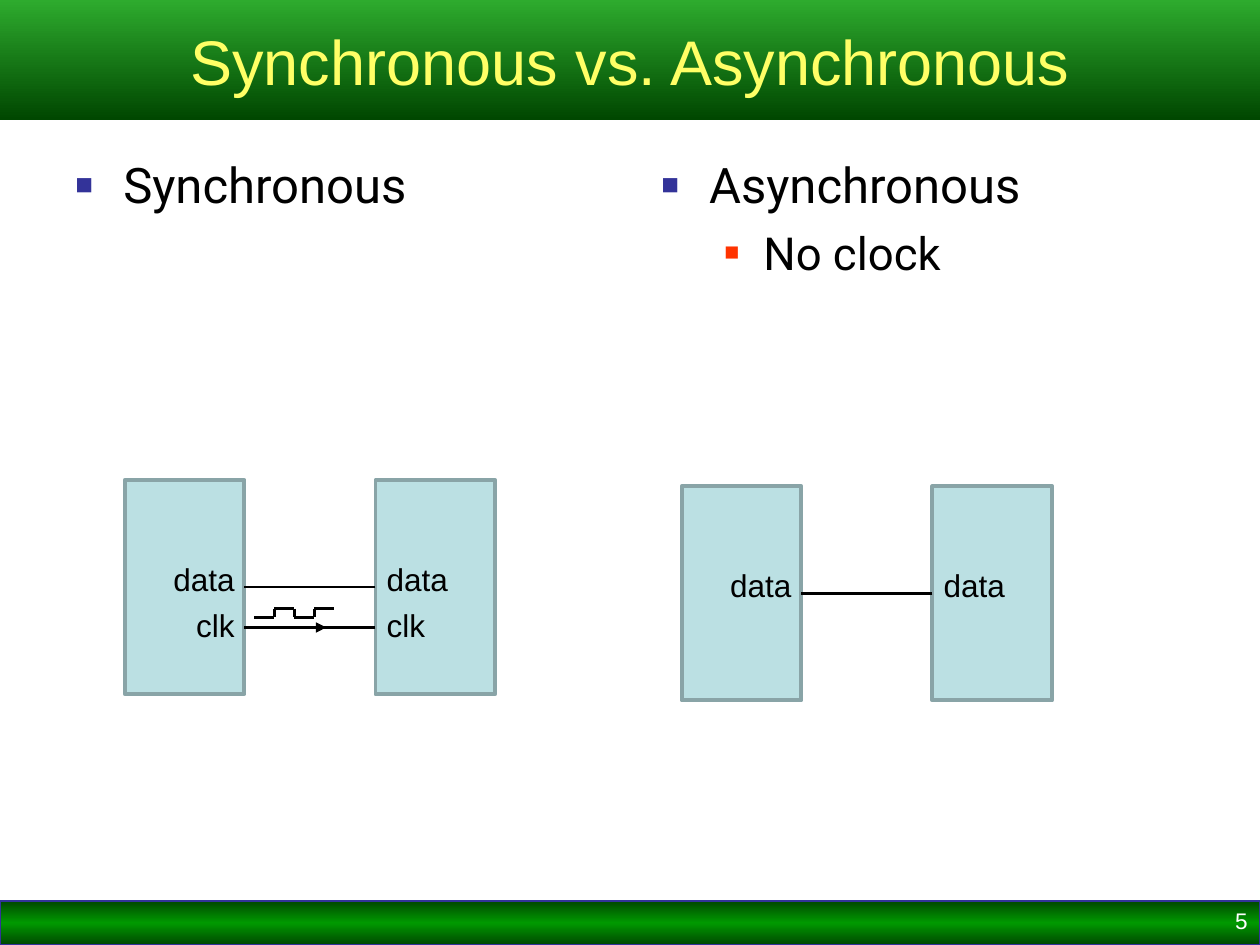
"""Build the slide that sets a synchronous link beside an asynchronous one."""
from copy import deepcopy
from itertools import pairwise

from lxml import etree
from pptx import Presentation
from pptx import util as u
from pptx.dml.color import RGBColor
from pptx.enum import shapes, text
from pptx.oxml import ns

BLACK = RGBColor(0x00, 0x00, 0x00)
WHITE = RGBColor(0xFF, 0xFF, 0xFF)
YELLOW = RGBColor(0xFF, 0xFF, 0x66)
DARK_GREEN = RGBColor(0x00, 0x47, 0x00)
GREEN = RGBColor(0x00, 0x99, 0x00)
LIGHT_GREEN = RGBColor(0x2E, 0xAB, 0x2E)
INDIGO = RGBColor(0x33, 0x33, 0x99)
RED = RGBColor(0xFF, 0x33, 0x00)
BOX_FILL = RGBColor(0xBB, 0xE0, 0xE3)
BOX_LINE = RGBColor(0x89, 0xA4, 0xA7)

presentation = Presentation()
presentation.slide_width, presentation.slide_height = u.Inches(10), u.Inches(7.5)
COLUMN = presentation.slide_width / 100
ROW = presentation.slide_height / 75
slide = presentation.slides.add_slide(presentation.slide_layouts[5])


def place(*columns_and_rows):
    """Turn grid positions, column and row by turns, into lengths."""
    return [round(value * unit) for value, unit in zip(columns_and_rows, (COLUMN, ROW) * 2)]


def write(paragraph, words, size=18, font="Arial", color=BLACK, align=text.PP_ALIGN.LEFT,
          bullet=None, indent=(0, 0), before=0):
    """Fill a paragraph with formatted words and an optional square bullet."""
    properties = paragraph._p.get_or_add_pPr()
    if bullet:
        bullet_color, bullet_size = bullet
        margin, hanging = indent
        properties.set("marL", str(u.Inches(margin)))
        properties.set("indent", str(-u.Inches(hanging)))
        holder = etree.SubElement(properties, ns.qn("a:buClr"))
        etree.SubElement(holder, ns.qn("a:srgbClr"), val=str(bullet_color))
        etree.SubElement(properties, ns.qn("a:buSzPct"), val=str(bullet_size * 1000))
        etree.SubElement(properties, ns.qn("a:buFont"), typeface="Arial")
        etree.SubElement(properties, ns.qn("a:buChar"), char="■")
    paragraph.alignment = align
    paragraph.space_before = u.Pt(before)
    run = paragraph.add_run()
    run.text = words
    run.font.size, run.font.name, run.font.color.rgb = u.Pt(size), font, color


footer = slide.shapes.add_shape(shapes.MSO_SHAPE.RECTANGLE, *place(0, 71.5, 100, 3.5))
footer.shadow.inherit = False
footer.line.color.rgb, footer.line.width = INDIGO, u.Pt(0.75)

title = slide.shapes.title
title.left, title.top, title.width, title.height = place(0, 0, 100, 9.5)
title.text_frame.vertical_anchor = text.MSO_ANCHOR.MIDDLE
write(title.text_frame.paragraphs[0], "Synchronous vs. Asynchronous", size=36,
      color=YELLOW, align=text.PP_ALIGN.CENTER)

for banner, colors in ((footer, (DARK_GREEN, GREEN, DARK_GREEN)),
                       (title, (LIGHT_GREEN, DARK_GREEN))):
    banner.fill.gradient()
    banner.fill.gradient_angle = 270
    stop_list = banner.fill.gradient_stops[0]._gs.getparent()
    if len(colors) == 3:
        stop_list.append(deepcopy(stop_list[0]))
    for index, (stop, color) in enumerate(zip(banner.fill.gradient_stops, colors)):
        stop.position = index / (len(colors) - 1)
        stop.color.rgb = color

topic = {"size": 28, "bullet": (INDIGO, 60), "indent": (0.38, 0.38)}
detail = {"size": 26, "bullet": (RED, 55), "indent": (0.81, 0.31), "before": 6.5}
for left, lines in ((5, [("Synchronous", topic)]),
                    (51.5, [("Asynchronous", topic), ("No clock", detail)])):
    frame = slide.shapes.add_textbox(*place(left, 11.8, 44.8, 58.9)).text_frame
    frame.word_wrap = True
    for level, (words, style) in enumerate(lines):
        paragraph = frame.add_paragraph() if level else frame.paragraphs[0]
        paragraph.level = level
        write(paragraph, words, font="Roboto", **style)

number = slide.shapes.add_textbox(*place(76.7, 71.7, 23.3, 3.3)).text_frame
number.word_wrap = True
number.paragraphs[0].line_spacing = 0.9
write(number.paragraphs[0], "5", size=12.9, color=WHITE, align=text.PP_ALIGN.RIGHT)

connectors = []
for left, top, signals in ((9.9, 38.1, ("data", "clk")), (54.1, 38.6, ("data",))):
    boxes = []
    for box_left in (left, left + 19.9):
        box = slide.shapes.add_shape(shapes.MSO_SHAPE.RECTANGLE,
                                     *place(box_left, top, 9.5, 17))
        box.shadow.inherit = False
        box.fill.solid()
        box.fill.fore_color.rgb = BOX_FILL
        box.line.color.rgb, box.line.width = BOX_LINE, u.Pt(2.25)
        boxes.append(box)
    for index, signal in enumerate(signals):
        wire_row = top + 8.2 + 3.5 * index
        wire = slide.shapes.add_connector(
            shapes.MSO_CONNECTOR.STRAIGHT,
            *place(left + 19.9, wire_row, left + 9.5, wire_row))
        if signal == "data":
            wire.begin_connect(boxes[1], 1)
            wire.end_connect(boxes[0], 3)
        connectors.append(wire)
        for label_left, align in ((left + 0.9, text.PP_ALIGN.RIGHT),
                                  (left + 19.8, text.PP_ALIGN.LEFT)):
            label = slide.shapes.add_textbox(
                *place(label_left, top + 5.85 + 3.65 * index, 8.8, 4)).text_frame
            label.word_wrap = True
            write(label.paragraphs[0], signal, align=align)

arrow = slide.shapes.add_connector(shapes.MSO_CONNECTOR.STRAIGHT,
                                   *place(22.7, 49.8, 25.9, 49.8))
connectors.append(arrow)

pulse = slide.shapes.add_group_shape()
low, high, step = 49, 48.3, 1.58
corners = [(20.2, low)]
for index, level in enumerate((low, high, low, high)):
    column = 20.2 + step * index
    if level != corners[-1][1]:
        corners.append((column, level))
    corners.append((column + step, level))
for start, end in pairwise(corners):
    connectors.append(pulse.shapes.add_connector(shapes.MSO_CONNECTOR.STRAIGHT,
                                                 *place(*start, *end)))

for connector in connectors:
    connector.line.color.rgb, connector.line.width = BLACK, u.Pt(1.5)
    etree.SubElement(connector._element.spPr, ns.qn("a:effectLst"))
etree.SubElement(arrow.line._get_or_add_ln(), ns.qn("a:tailEnd"), type="triangle")

presentation.save("out.pptx")
